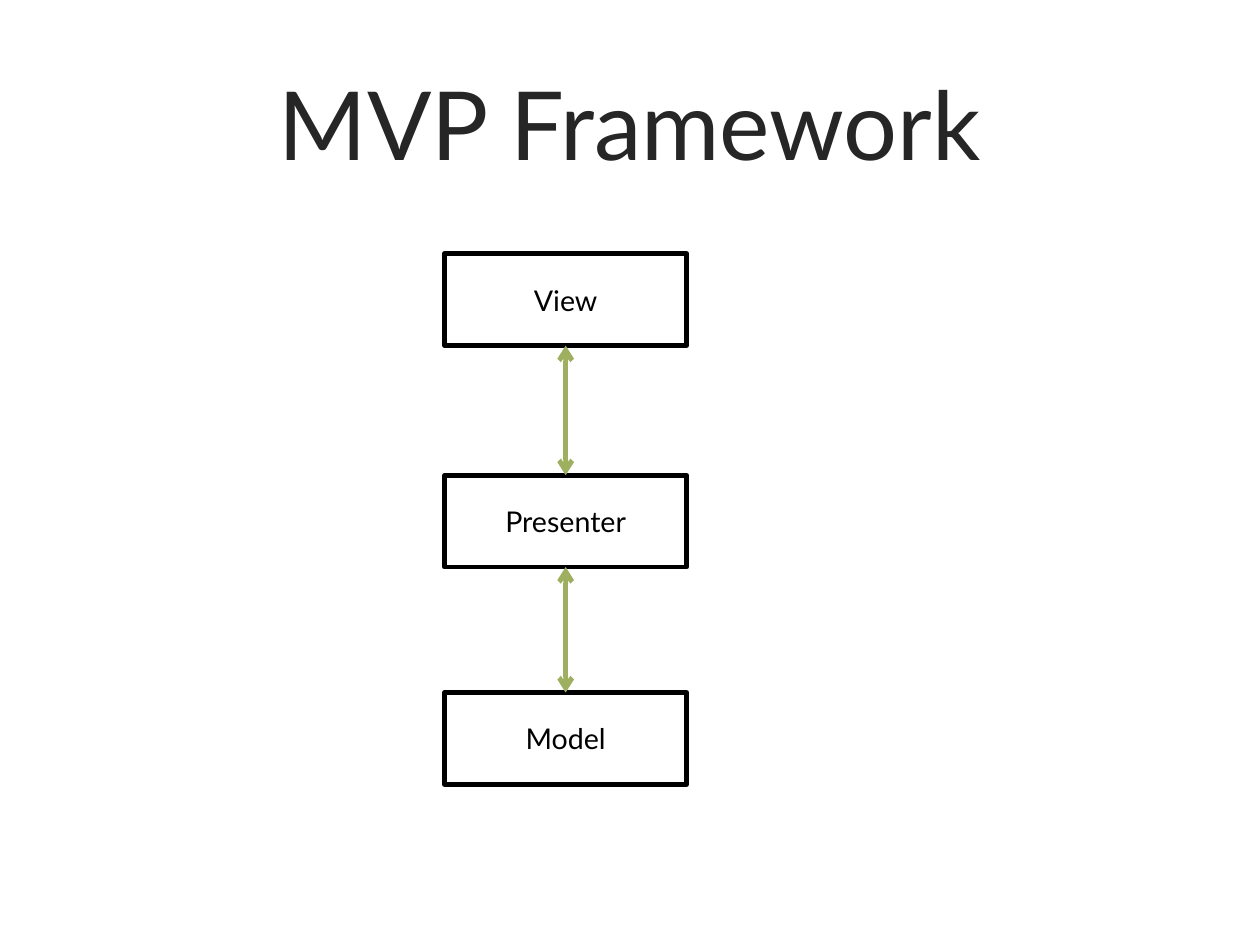
from dataclasses import dataclass

from lxml import etree
from pptx import Presentation
from pptx.dml.color import RGBColor
from pptx.enum import shapes, text
from pptx.oxml import ns
from pptx.util import Cm, Pt


@dataclass(frozen=True)
class Theme:
    font: str = "Lato"
    title_size: int = 60
    box_size: int = 18
    line_width: int = 3
    title_color: str = "262626"
    ink: str = "000000"
    paper: str = "FFFFFF"
    arrow: str = "9EB060"


theme = Theme()


def write(shape, words, size, color):
    """Put one centred, styled line of text into a shape."""
    frame = shape.text_frame
    frame.text = words
    frame.word_wrap = True
    frame.vertical_anchor = text.MSO_ANCHOR.MIDDLE
    paragraph = frame.paragraphs[0]
    paragraph.alignment = text.PP_ALIGN.CENTER
    font = paragraph.runs[0].font
    font.name = theme.font
    font.size = Pt(size)
    font.color.rgb = RGBColor.from_string(color)


def draw_line(line, color):
    line.color.rgb = RGBColor.from_string(color)
    line.width = Pt(theme.line_width)


presentation = Presentation()
presentation.slide_width = Cm(28)
presentation.slide_height = Cm(21)
slide = presentation.slides.add_slide(presentation.slide_layouts[5])

title = slide.shapes.title
title.left, title.top, title.width, title.height = Cm(2.22), Cm(0.97), Cm(23.55), Cm(3.5)
write(title, "MVP Framework", theme.title_size, theme.title_color)
title.text_frame.auto_size = text.MSO_AUTO_SIZE.NONE

layers = []
for name, top in (("View", 5.64), ("Presenter", 10.56), ("Model", 15.39)):
    box = slide.shapes.add_shape(
        shapes.MSO_SHAPE.RECTANGLE, Cm(9.88), Cm(top), Cm(5.38), Cm(2.04))
    box.shadow.inherit = False
    box.fill.solid()
    box.fill.fore_color.rgb = RGBColor.from_string(theme.paper)
    draw_line(box.line, theme.ink)
    write(box, name, theme.box_size, theme.ink)
    layers.append(box)

# Rectangle connection sites: 0 is the top edge, 2 the bottom edge.
for upper, lower in zip(layers, layers[1:]):
    center = upper.left + upper.width // 2
    arrow = slide.shapes.add_connector(
        shapes.MSO_CONNECTOR.STRAIGHT,
        center, upper.top + upper.height, center, lower.top)
    arrow.begin_connect(upper, 2)
    arrow.end_connect(lower, 0)
    draw_line(arrow.line, theme.arrow)
    properties = arrow.element.spPr
    outline = properties.find(ns.qn("a:ln"))
    for end in ("a:headEnd", "a:tailEnd"):
        etree.SubElement(outline, ns.qn(end), type="arrow")
    etree.SubElement(properties, ns.qn("a:effectLst"))

presentation.save("out.pptx")
